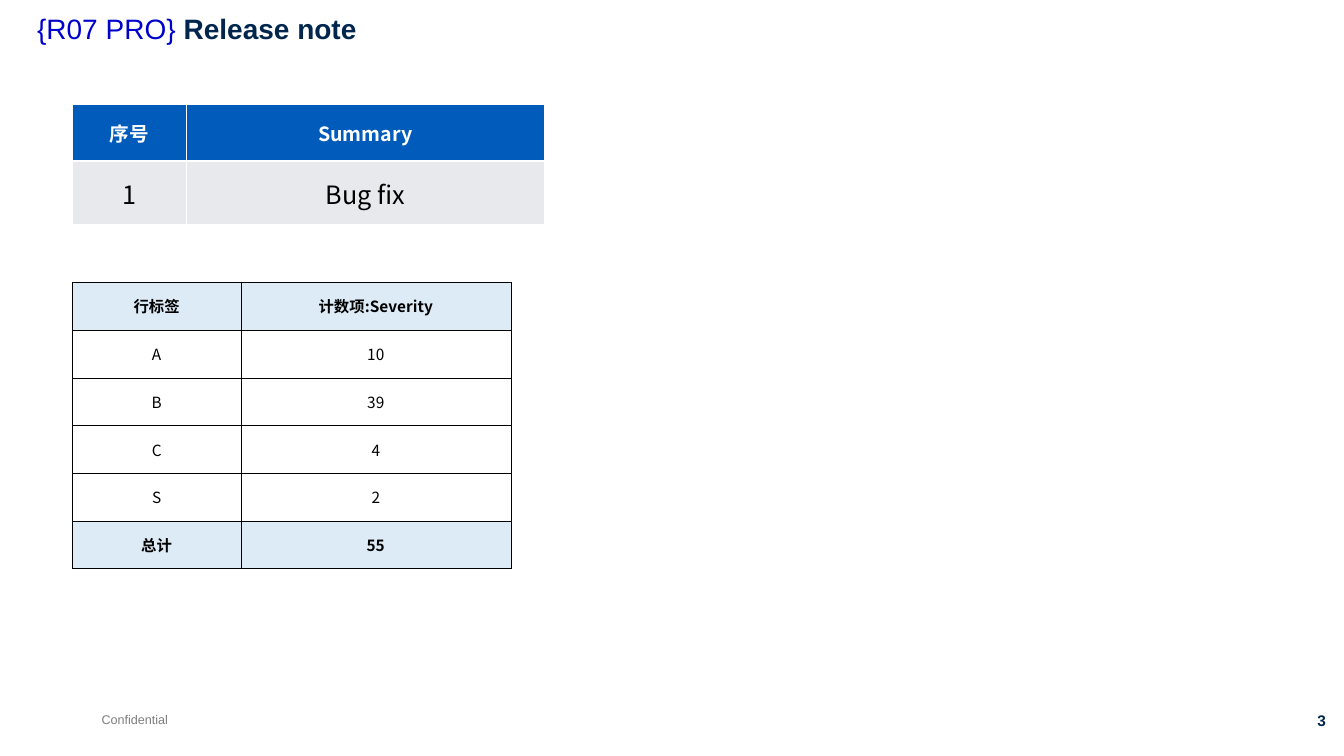
from dataclasses import dataclass

from lxml import etree
from pptx import Presentation
from pptx.dml.color import RGBColor
from pptx.enum.text import MSO_ANCHOR, PP_ALIGN
from pptx.oxml.ns import qn
from pptx.util import Inches, Pt

LEFT, CENTER, RIGHT = PP_ALIGN.LEFT, PP_ALIGN.CENTER, PP_ALIGN.RIGHT
MIDDLE = MSO_ANCHOR.MIDDLE


@dataclass(frozen=True)
class Theme:
    latin: str = "Arial"
    cjk: str = "Noto Sans CJK SC"
    navy: str = "00264E"
    link_blue: str = "0000CC"
    header_blue: str = "005BBA"
    pale_blue: str = "DDEBF7"
    pale_gray: str = "E7E9EC"
    gray: str = "7F7F7F"
    white: str = "FFFFFF"
    black: str = "000000"
    title_pt: float = 20
    large_pt: float = 18
    header_pt: float = 14
    small_pt: float = 11
    footer_pt: float = 9


T = Theme()


@dataclass(frozen=True)
class Run:
    text: str
    color: str
    bold: bool = False


@dataclass(frozen=True)
class Label:
    box: tuple[float, float, float, float]
    runs: list[Run]
    size: float
    align: PP_ALIGN = LEFT
    wrap: bool = False
    spacing: float = 1.0


@dataclass(frozen=True)
class RowStyle:
    size: float
    color: str
    bold: bool = False
    fill: str | None = None


@dataclass(frozen=True)
class Grid:
    left: float
    top: float
    cols: list[float]
    rows: list[float]
    texts: list[tuple[str, str]]
    styles: list[RowStyle]
    line_color: str
    side_pt: float
    rule_pt: float


def add_label(s, label: Label) -> None:
    tf = s.shapes.add_textbox(*map(Inches, label.box)).text_frame
    tf.word_wrap = label.wrap
    p = tf.paragraphs[0]
    p.alignment = label.align
    p.line_spacing = label.spacing
    p.font.name, p.font.size = T.latin, Pt(label.size)
    for run in label.runs:
        r = p.add_run()
        r.text = run.text
        r.font.bold = run.bold
        r.font.color.rgb = RGBColor.from_string(run.color)


def set_borders(cell, color: str, widths: dict[str, float]) -> None:
    tc_pr = cell._tc.get_or_add_tcPr()
    for i, (side, width) in enumerate(widths.items()):
        ln = etree.Element(qn(f"a:{side}"), w=str(Pt(width)))
        fill = etree.SubElement(ln, qn("a:solidFill"))
        etree.SubElement(fill, qn("a:srgbClr"), val=color)
        tc_pr.insert(i, ln)


def fill_cell(cell, text: str, style: RowStyle) -> None:
    cell.margin_left = cell.margin_right = Inches(0.01)
    cell.margin_top = cell.margin_bottom = Inches(0.05)
    cell.vertical_anchor = MIDDLE
    if style.fill:
        cell.fill.solid()
        cell.fill.fore_color.rgb = RGBColor.from_string(style.fill)
    else:
        cell.fill.background()
    p = cell.text_frame.paragraphs[0]
    p.text = text
    p.alignment = CENTER
    p.font.size, p.font.bold, p.font.name = Pt(style.size), style.bold, T.cjk
    p.font.color.rgb = RGBColor.from_string(style.color)
    # East Asian typeface follows the Latin one
    latin = p._p.pPr.find(qn("a:defRPr")).find(qn("a:latin"))
    latin.addnext(etree.Element(qn("a:ea"), typeface=T.cjk))


def add_grid(s, grid: Grid) -> None:
    box = (grid.left, grid.top, sum(grid.cols), sum(grid.rows))
    table = s.shapes.add_table(len(grid.rows), len(grid.cols), *map(Inches, box)).table
    table.first_row = table.horz_banding = False
    for column, width in zip(table.columns, grid.cols):
        column.width = Inches(width)
    for i, (texts, style) in enumerate(zip(grid.texts, grid.styles)):
        table.rows[i].height = Inches(grid.rows[i])
        top_pt = grid.rule_pt if i else grid.side_pt
        widths = {"lnL": grid.side_pt, "lnR": grid.side_pt, "lnT": top_pt, "lnB": grid.rule_pt}
        for j, text in enumerate(texts):
            fill_cell(table.cell(i, j), text, style)
            set_borders(table.cell(i, j), grid.line_color, widths)


# Title, footer and page number
LABELS = [
    Label((0.91, 7.01, 0.86, 0.25), [Run("Confidential", T.gray)], T.footer_pt),
    Label((12.32, 7.01, 0.94, 0.29), [Run("3", T.navy, True)], T.small_pt, RIGHT),
    Label((0.27, 0.1, 11.85, 0.63),
          [Run("{R07 PRO} ", T.link_blue), Run("Release note", T.navy, True)],
          T.title_pt, wrap=True, spacing=0.9),
]

# Summary of changes
SUMMARY = Grid(
    0.72, 1.03, [1.13, 3.55], [0.57, 0.63],
    [("序号", "Summary"), ("1", "Bug fix")],
    [RowStyle(T.header_pt, T.white, True, T.header_blue),
     RowStyle(T.large_pt, T.black, fill=T.pale_gray)],
    T.white, 0.45, 1.47,
)

# Issue count by severity
COUNTS = {"A": 10, "B": 39, "C": 4, "S": 2}
EDGE = RowStyle(T.small_pt, T.black, True, T.pale_blue)
BODY = RowStyle(T.small_pt, T.black)
SEVERITY = Grid(
    0.72, 2.8, [1.67, 2.68], [2.84 / 6] * 6,
    [("行标签", "计数项:Severity"),
     *((level, str(count)) for level, count in COUNTS.items()),
     ("总计", str(sum(COUNTS.values())))],
    [EDGE, *[BODY] * len(COUNTS), EDGE],
    T.black, 0.23, 0.23,
)


def main() -> None:
    prs = Presentation()
    prs.slide_width, prs.slide_height = Inches(13.34), Inches(7.5)
    s = prs.slides.add_slide(prs.slide_layouts[6])
    for label in LABELS:
        add_label(s, label)
    for grid in (SUMMARY, SEVERITY):
        add_grid(s, grid)
    prs.save("out.pptx")


if __name__ == "__main__":
    main()
